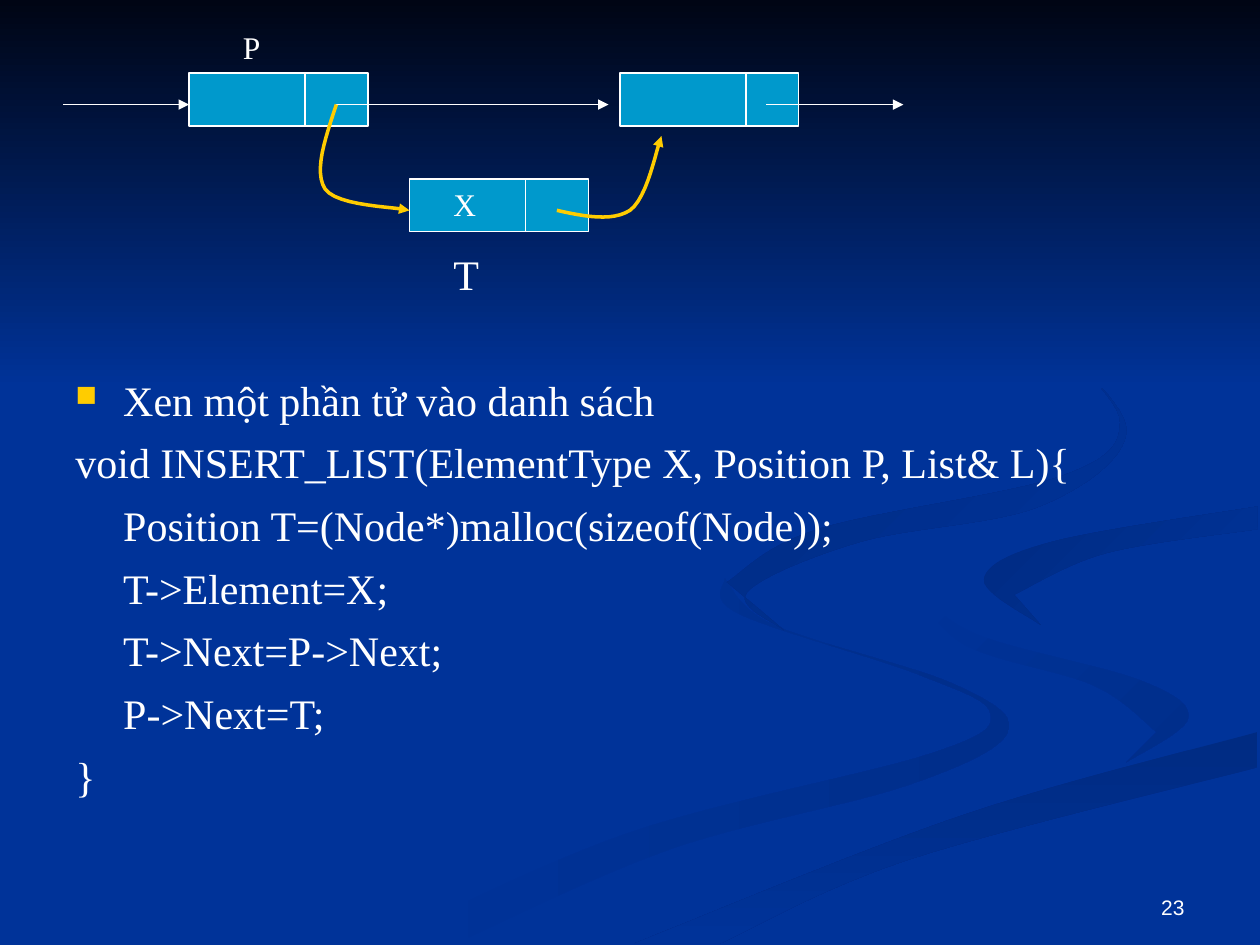
from lxml.etree import SubElement
from pptx import Presentation
from pptx.dml.color import RGBColor
from pptx.enum.shapes import MSO_CONNECTOR, MSO_SHAPE
from pptx.enum.text import MSO_ANCHOR, PP_ALIGN
from pptx.oxml.ns import qn
from pptx.util import Inches, Pt

BLUE = RGBColor(0x00, 0x33, 0x99)
NIGHT = RGBColor(0x00, 0x05, 0x14)
DARK_BLUE = RGBColor(0x00, 0x2E, 0x8B)
DEEP_BLUE = RGBColor(0x00, 0x2B, 0x82)
CYAN = RGBColor(0x00, 0x99, 0xCC)
WHITE = RGBColor(0xFF, 0xFF, 0xFF)
YELLOW = RGBColor(0xFF, 0xCC, 0x00)
SERIF, SANS = "Times New Roman", "Arial"

# Background ribbons: gradient ends, clockwise angle, the two curved edges
RIBBONS = [
    (BLUE, DARK_BLUE, 0,
     [(5.75, 4.59), (6.14, 4.96), (7.57, 5.43), (8, 5.81), (7.21, 6.23), (5.32, 6.74), (3.61, 7.49)],
     [(3, 7.49), (4.99, 6.61), (7.39, 5.98), (7.86, 5.66), (7.28, 5.35), (5.86, 4.87), (5.75, 4.59)]),
    (BLUE, DARK_BLUE, 45,
     [(7.24, 4.64), (7.74, 5.03), (9.05, 5.4), (9.43, 5.7), (8.94, 6.05)],
     [(9.18, 5.81), (8.68, 5.44), (7.66, 5.12), (7.24, 4.64)]),
    (DEEP_BLUE, BLUE, 90,
     [(9.98, 5.81), (7.64, 6.47), (5.03, 7.49)],
     [(5.71, 7.49), (7.22, 6.82), (9.98, 6.09)]),
    (DEEP_BLUE, BLUE, 45,
     [(9.98, 4.02), (8.35, 4.3), (7.81, 4.6), (8.26, 4.96)],
     [(8.05, 4.72), (8.78, 4.39), (9.98, 4.2)]),
    (DEEP_BLUE, BLUE, 45,
     [(8.43, 2.75), (8.94, 3.44), (8.25, 4.02), (6.83, 4.3), (5.93, 4.7), (6.22, 5)],
     [(5.77, 4.62), (6.49, 4.2), (8.42, 3.78), (8.89, 3.35), (8.43, 2.75)]),
]

# List nodes: left, top, width of the element field
NODE_WIDTH, NODE_HEIGHT = 1.42, 0.42
NODES = [(3.25, 1.42, 0.92), (1.5, 0.58, 0.92), (4.92, 0.58, 1)]
POINTER_Y = 0.83
POINTERS = [(0.5, 1.5), (2.67, 4.83), (6.08, 7.17)]
# New links: start point, then two control points and an end point per curve
NEW_LINKS = [
    [(4.42, 1.67), (4.64, 1.72), (4.86, 1.76), (5, 1.67),
     (5.14, 1.57), (5.21, 1.18), (5.25, 1.08)],
    [(2.67, 0.83), (2.58, 1.1), (2.49, 1.36), (2.58, 1.5),
     (2.68, 1.64), (3.14, 1.64), (3.25, 1.67)],
]
LABELS = [("T", 3.5, 1.92, 1.17, 0.5, 24), ("P", 1.83, 0.17, 0.42, 0.4, 18),
          ("X", 3.5, 1.42, 0.5, 0.4, 18)]

HEADING = "Xen một phần tử vào danh sách"
# Code lines: indent level, text
CODE = [
    (0, "void INSERT_LIST(ElementType X, Position P, List& L){"),
    (1, "Position T=(Node*)malloc(sizeof(Node));"),
    (1, "T->Element=X;"),
    (1, "T->Next=P->Next;"),
    (1, "P->Next=T;"),
    (0, "}"),
]
INDENT = Inches(0.38)


def curve_points(controls, steps=12):
    """Sample a chain of cubic Bezier curves."""
    points = [controls[0]]
    for i in range(0, len(controls) - 1, 3):
        for step in range(1, steps + 1):
            t = step / steps
            weights = ((1 - t) ** 3, 3 * t * (1 - t) ** 2, 3 * t * t * (1 - t), t ** 3)
            points.append(tuple(sum(w * p[axis] for w, p in zip(weights, controls[i:i + 4]))
                                for axis in (0, 1)))
    return points


def smooth_edge(knots):
    """Sample a smooth curve that passes through every knot."""
    padded = [knots[0], *knots, knots[-1]]
    controls = [knots[0]]
    for before, start, end, after in zip(padded, padded[1:], padded[2:], padded[3:]):
        controls.append(tuple(s + (e - b) / 6 for b, s, e in zip(before, start, end)))
        controls.append(tuple(e - (a - s) / 6 for s, e, a in zip(start, end, after)))
        controls.append(end)
    return curve_points(controls)


def fill_gradient(shape, first, last, clockwise_angle):
    shape.fill.gradient()
    shape.fill.gradient_angle = -clockwise_angle % 360
    for stop, color, position in zip(shape.fill.gradient_stops, (first, last), (0, 1)):
        stop.color.rgb, stop.position = color, position
    shape.line.fill.background()


def add_outline(page, points, close):
    points = [(Inches(x), Inches(y)) for x, y in points]
    builder = page.shapes.build_freeform(*points[0], scale=1.0)
    builder.add_line_segments(points[1:], close=close)
    shape = builder.convert_to_shape()
    shape.shadow.inherit = False
    return shape


def add_rectangle(page, *place):
    shape = page.shapes.add_shape(MSO_SHAPE.RECTANGLE, *map(Inches, place))
    shape.shadow.inherit = False
    return shape


def style_line(shape, color, width, arrow=False):
    shape.line.color.rgb = color
    shape.line.width = Pt(width)
    if arrow:
        SubElement(shape._element.spPr.find(qn("a:ln")), qn("a:tailEnd"), type="triangle")


def add_line(page, x1, y1, x2, y2, arrow=False):
    line = page.shapes.add_connector(MSO_CONNECTOR.STRAIGHT, *map(Inches, (x1, y1, x2, y2)))
    style_line(line, WHITE, 0.75, arrow)
    SubElement(line._element.spPr, qn("a:effectLst"))


def add_text(page, lines, left, top, width, height, size, font=SERIF):
    box = page.shapes.add_textbox(*map(Inches, (left, top, width, height)))
    frame = box.text_frame
    frame.word_wrap = True
    frame.text = "\n".join(lines)
    for para in frame.paragraphs:
        for span in para.runs:
            span.font.size, span.font.name = Pt(size), font
            span.font.color.rgb = WHITE
    return frame


def add_bullet(para):
    props = para._p.get_or_add_pPr()
    props.set("marL", str(INDENT))
    props.set("indent", str(-INDENT))
    SubElement(SubElement(props, qn("a:buClr")), qn("a:srgbClr"), val=str(YELLOW))
    SubElement(props, qn("a:buSzPct"), val="70000")
    SubElement(props, qn("a:buChar"), char="■")


deck = Presentation()
deck.slide_width, deck.slide_height = Inches(10), Inches(7.5)
page = deck.slides.add_slide(deck.slide_layouts[6])
page.background.fill.solid()
page.background.fill.fore_color.rgb = BLUE

for first, last, angle, outer, inner in RIBBONS:
    ribbon = add_outline(page, smooth_edge(outer) + smooth_edge(inner), True)
    fill_gradient(ribbon, first, last, angle)
fill_gradient(add_rectangle(page, 0, 0, 10, 3.08), NIGHT, BLUE, 90)

number = add_text(page, ["23"], 7.17, 6.83, 2.33, 0.52, 12, SANS)
number.vertical_anchor = MSO_ANCHOR.BOTTOM
number.paragraphs[0].alignment = PP_ALIGN.RIGHT

body = add_text(page, [HEADING] + [text for _, text in CODE], 0.5, 2.92, 9, 3.78, 24)
add_bullet(body.paragraphs[0])
for para, (level, _) in zip(body.paragraphs[1:], CODE):
    para.space_before = Pt(7)
    para._p.get_or_add_pPr().set("marL", str(level * INDENT))

for left, top, element_width in NODES:
    node = add_rectangle(page, left, top, NODE_WIDTH, NODE_HEIGHT)
    node.fill.solid()
    node.fill.fore_color.rgb = CYAN
    style_line(node, WHITE, 0.75)
    divider = left + element_width
    add_line(page, divider, top, divider, top + NODE_HEIGHT)
for start, end in POINTERS:
    add_line(page, start, POINTER_Y, end, POINTER_Y, arrow=True)
for text, *place, size in LABELS:
    add_text(page, [text], *place, size)
for controls in NEW_LINKS:
    link = add_outline(page, curve_points(controls), False)
    link.fill.background()
    style_line(link, YELLOW, 2, arrow=True)

deck.save("out.pptx")
